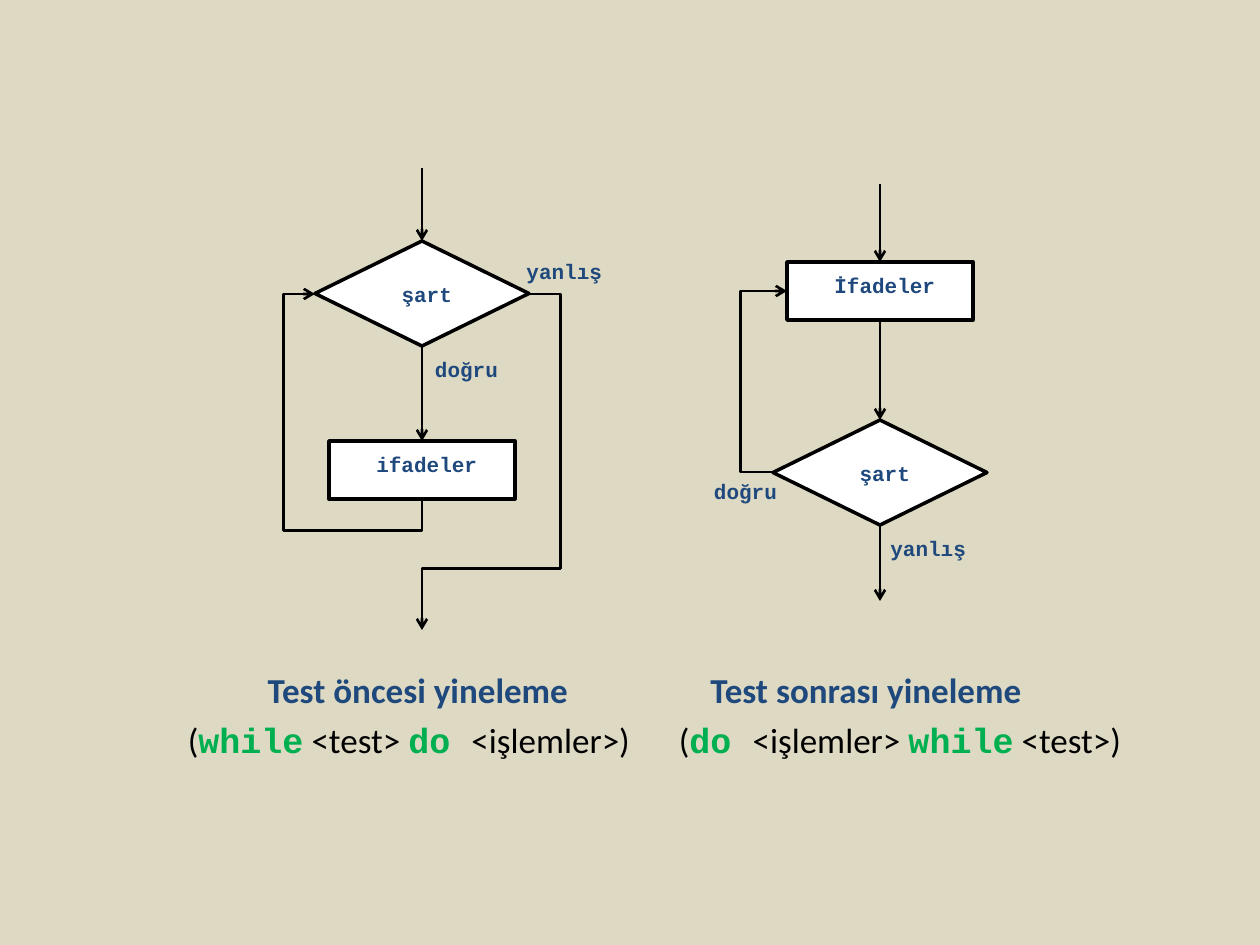
"""Builds a slide that compares pre-test and post-test loops as flowcharts."""
from dataclasses import dataclass

from lxml import etree
from pptx import Presentation
from pptx.dml.color import RGBColor
from pptx.enum.shapes import MSO_CONNECTOR, MSO_SHAPE
from pptx.enum.text import MSO_AUTO_SIZE, PP_ALIGN
from pptx.oxml.ns import qn
from pptx.util import Emu, Pt

STRAIGHT, ELBOW = MSO_CONNECTOR.STRAIGHT, MSO_CONNECTOR.ELBOW
PROCESS, DECISION = MSO_SHAPE.RECTANGLE, MSO_SHAPE.FLOWCHART_DECISION
LEFT, CENTER = PP_ALIGN.LEFT, PP_ALIGN.CENTER
GROW = MSO_AUTO_SIZE.SHAPE_TO_FIT_TEXT
TOP_SITE, BOTTOM_SITE = 0, 2
EMU_PER_PX = 914400 / 126


@dataclass(frozen=True)
class Theme:
    background: str = "DDD9C3"
    ink: str = "000000"
    paper: str = "FFFFFF"
    heading: str = "1F497D"
    keyword: str = "00B050"
    body_font: str = "Calibri"
    code_font: str = "Courier New"
    caption_size: int = 20
    label_size: int = 12
    spacer_size: int = 9
    outline: float = 2
    arrow: float = 1.5


THEME = Theme()


@dataclass(frozen=True)
class Frame:
    left: int
    top: int
    width: int
    height: int

    def emu(self) -> tuple[Emu, ...]:
        return tuple(map(px, (self.left, self.top, self.width, self.height)))


@dataclass(frozen=True)
class Span:
    text: str
    color: str = THEME.heading
    font: str = THEME.code_font
    size: int = THEME.label_size
    bold: bool = True


@dataclass(frozen=True)
class Node:
    kind: int
    text: str
    frame: Frame

    def label_frame(self) -> Frame:
        inset, drop = (-14, 4) if self.kind == PROCESS else (25, 34)
        box = self.frame
        return Frame(box.left + inset, box.top + drop, box.width - 2 * inset, 38)


@dataclass(frozen=True)
class Label:
    text: str
    frame: Frame


@dataclass(frozen=True)
class Bend:
    begin: tuple[int, int]
    end: tuple[int, int]
    preset: str
    rotation: int
    adjustments: dict[str, int]


@dataclass(frozen=True)
class Flow:
    entry: tuple[int, int]
    nodes: tuple[Node, Node]
    labels: tuple[Label, ...]
    bends: tuple[Bend, ...]
    exit: tuple[int, int] | None = None


@dataclass(frozen=True)
class Caption:
    frame: Frame
    spans: tuple[Span, ...]


def title(text: str) -> Span:
    return Span(text, font=THEME.body_font, size=THEME.caption_size)


def keyword(text: str) -> Span:
    return Span(text, THEME.keyword, size=THEME.caption_size)


def plain(text: str) -> Span:
    return Span(text, THEME.ink, THEME.body_font, THEME.caption_size, False)


FLOWS = (
    Flow((422, 168),
         (Node(DECISION, "şart", Frame(315, 241, 214, 105)),
          Node(PROCESS, "ifadeler", Frame(329, 441, 186, 58))),
         (Label(" doğru", Frame(410, 350, 112, 38)),
          Label("yanlış", Frame(514, 252, 106, 38))),
         (Bend((422, 499), (315, 294), "bentConnector4", 90,
               {"adj1": -15400, "adj2": 129400}),
          Bend((529, 294), (422, 630), "bentConnector4", 0,
               {"adj1": -29400, "adj2": 81700}))),
    Flow((880, 184),
         (Node(PROCESS, "İfadeler", Frame(787, 262, 186, 58)),
          Node(DECISION, "şart", Frame(773, 420, 214, 105))),
         (Label(" doğru", Frame(689, 472, 108, 38)),
          Label("yanlış", Frame(878, 529, 116, 38))),
         (Bend((773, 472), (787, 291), "bentConnector3", 180, {"adj1": -231100}),),
         (880, 601)),
)
CAPTIONS = (
    Caption(Frame(220, 662, 388, 55), (title(" Test öncesi yineleme"),)),
    Caption(Frame(158, 712, 494, 55),
            (title(" "), plain("("), keyword("while"), plain(" <test> "),
             keyword("do "), plain("<işlemler>)"))),
    Caption(Frame(672, 662, 388, 55), (title("Test sonrası yineleme"),)),
    Caption(Frame(640, 712, 512, 55),
            (title(" "), plain("("), keyword("do "), plain("<işlemler> "),
             keyword("while"), plain(" <test>)"))),
)


def px(length: float) -> Emu:
    return Emu(round(length * EMU_PER_PX))


def rgb(color: str) -> RGBColor:
    return RGBColor.from_string(color)


def write(shapes, frame: Frame, *spans: Span, align=CENTER) -> None:
    body = shapes.add_textbox(*frame.emu()).text_frame
    body.word_wrap, body.auto_size = True, GROW
    paragraph = body.paragraphs[0]
    paragraph.alignment = align
    for span in spans:
        run = paragraph.add_run()
        run.text = span.text
        run.font.name, run.font.size, run.font.bold = span.font, Pt(span.size), span.bold
        run.font.color.rgb = rgb(span.color)


def draw_node(shapes, node: Node):
    block = shapes.add_shape(node.kind, *node.frame.emu())
    block.shadow.inherit = False
    block.fill.solid()
    block.fill.fore_color.rgb = rgb(THEME.paper)
    block.line.color.rgb, block.line.width = rgb(THEME.ink), Pt(THEME.outline)
    write(shapes, node.label_frame(), Span(" ", size=THEME.spacer_size), Span(node.text))
    return block


def draw_arrow(shapes, kind: int, begin: tuple, end: tuple):
    arrow = shapes.add_connector(kind, *map(px, (*begin, *end)))
    arrow.line.color.rgb, arrow.line.width = rgb(THEME.ink), Pt(THEME.arrow)
    properties = arrow._element.spPr
    etree.SubElement(properties.find(qn("a:ln")), qn("a:tailEnd"), type="arrow")
    etree.SubElement(properties, qn("a:effectLst"))
    return arrow


def draw_bend(shapes, bend: Bend) -> None:
    (x1, y1), (x2, y2) = bend.begin, bend.end
    width, height = abs(x2 - x1), abs(y2 - y1)
    if bend.rotation == 90:
        width, height = height, width
    left, top = (x1 + x2 - width) / 2, (y1 + y2 - height) / 2
    arrow = draw_arrow(shapes, ELBOW, (left + width, top), (left, top + height))
    properties = arrow._element.spPr
    properties.find(qn("a:xfrm")).set("rot", str(bend.rotation * 60000))
    geometry = properties.find(qn("a:prstGeom"))
    geometry.set("prst", bend.preset)
    for name, value in bend.adjustments.items():
        etree.SubElement(geometry.find(qn("a:avLst")), qn("a:gd"),
                         name=name, fmla=f"val {value}")


def draw_flow(shapes, flow: Flow) -> None:
    first, second = (draw_node(shapes, node) for node in flow.nodes)
    draw_arrow(shapes, STRAIGHT, flow.entry, flow.entry).end_connect(first, TOP_SITE)
    link = draw_arrow(shapes, STRAIGHT, flow.entry, flow.entry)
    link.begin_connect(first, BOTTOM_SITE)
    link.end_connect(second, TOP_SITE)
    if flow.exit:
        draw_arrow(shapes, STRAIGHT, flow.exit, flow.exit).begin_connect(second, BOTTOM_SITE)
    for bend in flow.bends:
        draw_bend(shapes, bend)
    for label in flow.labels:
        write(shapes, label.frame, Span(label.text), align=LEFT)


def main() -> None:
    deck = Presentation()
    deck.slide_width, deck.slide_height = px(1260), px(945)
    slide = deck.slides.add_slide(deck.slide_layouts[6])
    slide.background.fill.solid()
    slide.background.fill.fore_color.rgb = rgb(THEME.background)
    for flow in FLOWS:
        draw_flow(slide.shapes.add_group_shape().shapes, flow)
    for caption in CAPTIONS:
        write(slide.shapes, caption.frame, *caption.spans)
    deck.save("out.pptx")


if __name__ == "__main__":
    main()
